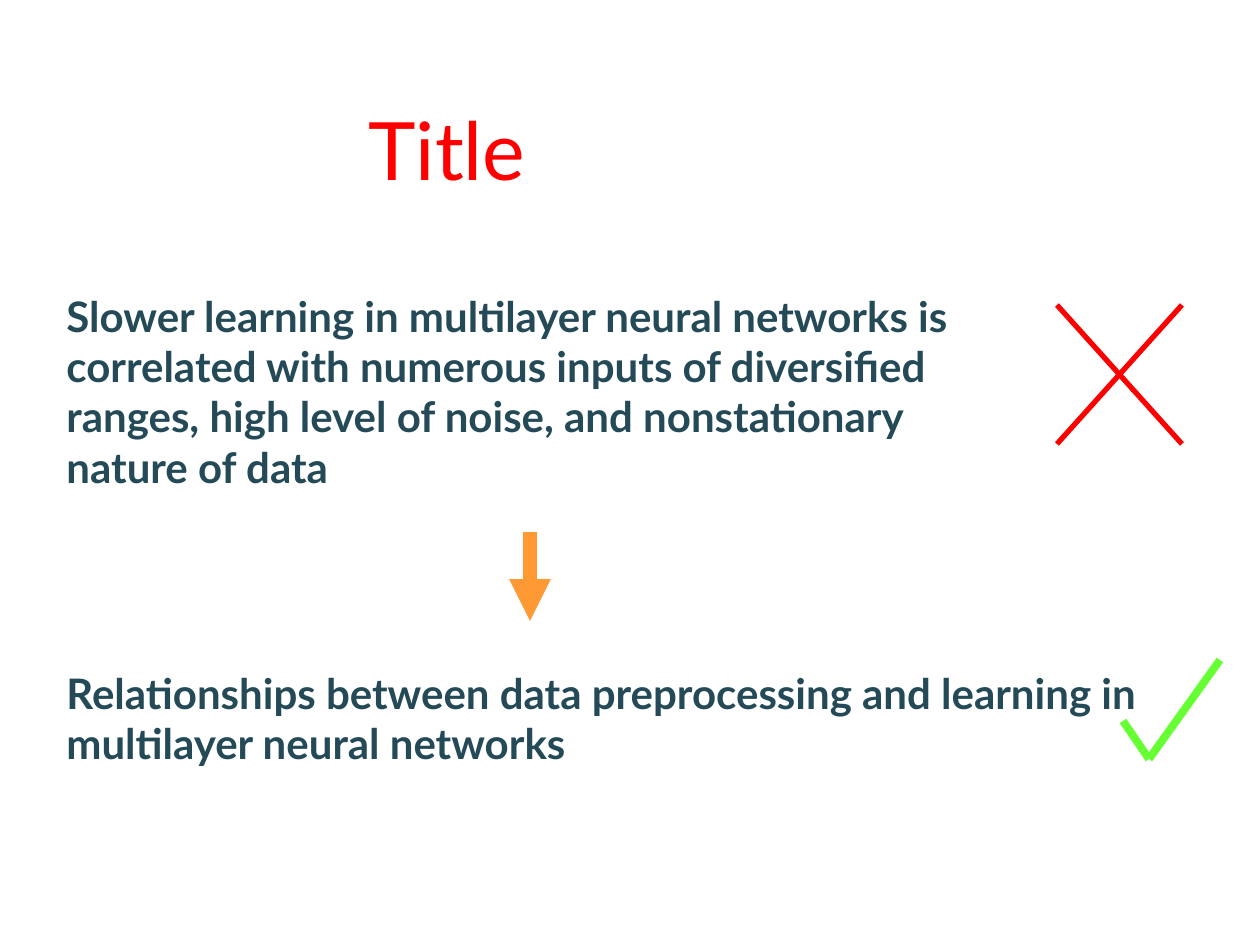
import pptx
import pptx.util
import pptx.dml.color
import pptx.enum.shapes
import pptx.enum.text
import pptx.oxml.ns
import lxml.etree

RGB = pptx.dml.color.RGBColor
RED = RGB(0xFF, 0x00, 0x00)
SLATE = RGB(0x24, 0x4A, 0x58)
ORANGE = RGB(0xFF, 0x99, 0x33)
GREEN = RGB(0x66, 0xFF, 0x33)

ALIGN = pptx.enum.text.PP_ALIGN
ANCHOR = pptx.enum.text.MSO_ANCHOR
PX = pptx.util.Inches(1) / 126

# Content: box in px, paragraphs, style
TITLE = {"size": pptx.util.Pt(46), "color": RED, "bold": False,
         "align": ALIGN.CENTER, "anchor": ANCHOR.BOTTOM}
BODY = {"size": pptx.util.Pt(24), "color": SLATE, "bold": True,
        "align": ALIGN.LEFT, "anchor": ANCHOR.TOP}
TEXTS = [
    ((84, 45, 726, 158), ["Title"], TITLE),
    ((54, 284, 1002, 265), [
        "Slower learning in multilayer neural networks is correlated with "
        "numerous inputs of diversified ranges, high level of noise, and "
        "nonstationary",
        "nature of data"], BODY),
    ((54, 661, 1101, 113), [
        "Relationships between data preprocessing and learning in "
        "multilayer neural networks"], BODY),
]

# Line marks: colour, width in pt, strokes in px
CROSS = (RED, 3, [(1057, 305, 1182, 444), (1182, 305, 1057, 444)])
TICK = (GREEN, 4.5, [(1123, 721, 1149, 759), (1149, 759, 1220, 660)])
ARROW = (ORANGE, 8, [(530, 532, 530, 621)])


def emu(values):
    return [round(v * PX) for v in values]


def add_text(shapes, box, paragraphs, style):
    tf = shapes.add_textbox(*emu(box)).text_frame
    tf.word_wrap = True
    tf.vertical_anchor = style["anchor"]
    tf.text = "\n".join(paragraphs)
    for p in tf.paragraphs:
        p.alignment = style["align"]
        for r in p.runs:
            r.font.color.rgb = style["color"]
            font = {"name": "Lato", "size": style["size"], "bold": style["bold"]}
            for name, value in font.items():
                setattr(r.font, name, value)


def add_strokes(shapes, color, width, strokes, arrow=False):
    qn = pptx.oxml.ns.qn
    for stroke in strokes:
        s = shapes.add_connector(
            pptx.enum.shapes.MSO_CONNECTOR.STRAIGHT, *emu(stroke))
        s.line.color.rgb = color
        s.line.width = pptx.util.Pt(width)
        if arrow:
            lxml.etree.SubElement(
                s.line._get_or_add_ln(), qn("a:tailEnd"), type="triangle")
        lxml.etree.SubElement(s._element.spPr, qn("a:effectLst"))


def main():
    prs = pptx.Presentation()
    prs.slide_width, prs.slide_height = emu((1260, 945))
    shapes = prs.slides.add_slide(prs.slide_layouts[6]).shapes

    # Title and statements
    for box, paragraphs, style in TEXTS:
        add_text(shapes, box, paragraphs, style)

    # Arrow from the first statement to the second
    add_strokes(shapes, *ARROW, arrow=True)

    # Cross and tick, each grouped
    for mark in (CROSS, TICK):
        add_strokes(shapes.add_group_shape().shapes, *mark)

    prs.save("out.pptx")


if __name__ == "__main__":
    main()
